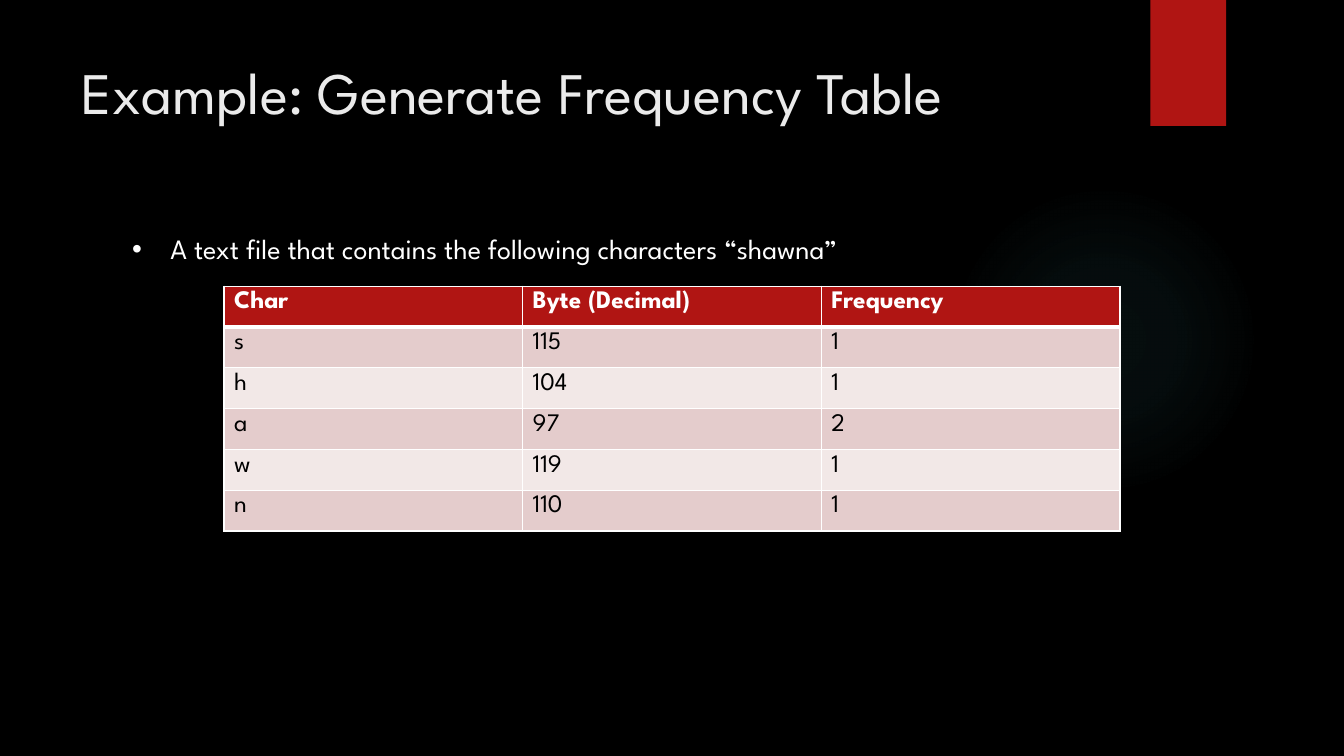
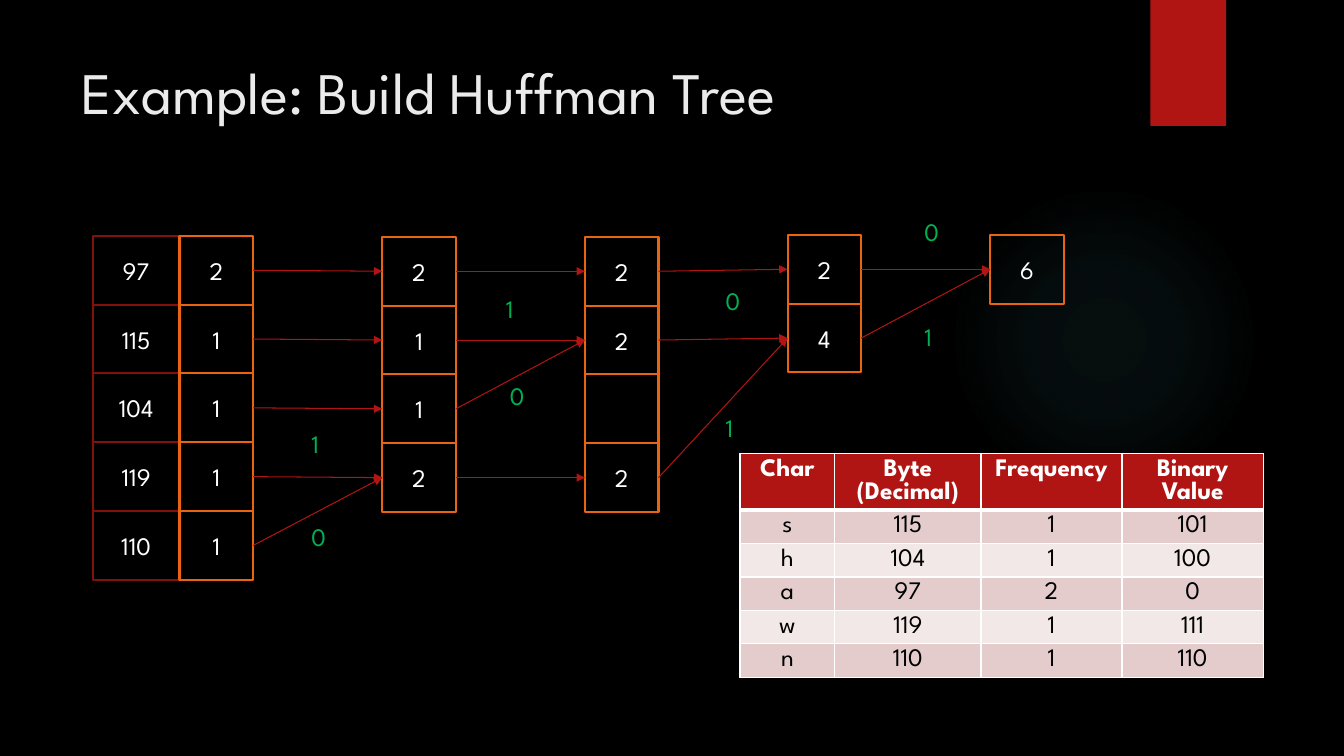
from dataclasses import dataclass

from pptx import Presentation
from pptx.dml.color import RGBColor
from pptx.enum.shapes import MSO_CONNECTOR, MSO_SHAPE
from pptx.enum.text import MSO_ANCHOR, PP_ALIGN
from pptx.oxml import parse_xml
from pptx.oxml.ns import nsdecls, qn
from pptx.util import Emu, Inches, Pt


@dataclass(frozen=True)
class Theme:
    font: str = "League Spartan"
    background: str = "000000"
    title: str = "EBEBEB"
    text: str = "FFFFFF"
    accent: str = "B01513"
    byte_outline: str = "82100E"
    node_outline: str = "EA6312"
    glow: str = "50B9C1"
    code: str = "00B050"
    table_text: str = "000000"
    table_bands: tuple = ("E4CCCC", "F2E8E7")
    title_size: int = 42
    body_size: int = 20
    small_size: int = 18


THEME = Theme()
LEFT_SITE, RIGHT_SITE = 1, 3


def set_values(target, values):
    for name, value in values.items():
        setattr(target, name, value)


def drawing(tag, attributes="", content=""):
    return parse_xml(f"<a:{tag} {nsdecls('a')} {attributes}>{content}</a:{tag}>")


class Deck:
    """Holds the style and the current slide; lengths are percentages of the slide."""

    def __init__(self, theme):
        self.theme = theme
        self.presentation = Presentation()
        set_values(self.presentation,
                   {"slide_width": Inches(13.33), "slide_height": Inches(7.5)})
        fill = self.presentation.slide_master.background.fill
        fill.solid()
        fill.fore_color.rgb = RGBColor.from_string(theme.background)
        self.slide = None

    def across(self, share):
        return Emu(round(self.presentation.slide_width * share / 100))

    def down(self, share):
        return Emu(round(self.presentation.slide_height * share / 100))

    def frame(self, left, top, width, height):
        return self.across(left), self.down(top), self.across(width), self.down(height)

    def move(self, shape, *shares):
        set_values(shape, dict(zip(("left", "top", "width", "height"), self.frame(*shares))))

    def set_text(self, text_frame, text, size, color, align=PP_ALIGN.LEFT,
                 anchor=MSO_ANCHOR.TOP, bold=False):
        set_values(text_frame, {"word_wrap": True, "vertical_anchor": anchor})
        paragraph = text_frame.paragraphs[0]
        paragraph.alignment = align
        run = paragraph.add_run()
        run.text = text
        set_values(run.font, {"name": self.theme.font, "size": Pt(size), "bold": bold})
        run.font.color.rgb = RGBColor.from_string(color)
        return paragraph

    # Slide with its shared decoration and title
    def add_slide(self, layout_name, title):
        layout = self.presentation.slide_layouts.get_by_name(layout_name)
        self.slide = self.presentation.slides.add_slide(layout)
        glow = self.add_shape(MSO_SHAPE.OVAL, (70.59, 24.4, 23.1, 41.07))
        stops = "".join(
            f'<a:gs pos="{place * 1000}"><a:srgbClr val="{self.theme.glow}">'
            f'<a:alpha val="{opacity * 1000}"/></a:srgbClr></a:gs>'
            for place, opacity in ((0, 7), (36, 6), (69, 0)))
        center = '<a:fillToRect l="50000" t="50000" r="50000" b="50000"/>'
        properties = glow.element.spPr
        properties.replace(properties.find(qn("a:noFill")), drawing(
            "gradFill", "",
            f'<a:gsLst>{stops}</a:gsLst><a:path path="circle">{center}</a:path>'))
        ribbon = self.add_shape(MSO_SHAPE.RECTANGLE, (85.6, 0, 5.63, 16.67),
                                fill=self.theme.accent)
        tree = self.slide.shapes.element
        for position, shape in enumerate((glow, ribbon), start=2):
            tree.insert(position, shape.element)
        heading = self.slide.shapes.title
        self.move(heading, 5.33, 6.67, 77.2, 20.4)
        self.set_text(heading.text_frame, title, self.theme.title_size, self.theme.title)

    def add_shape(self, preset, shares, fill=None, outline=None, text=""):
        shape = self.slide.shapes.add_shape(preset, *self.frame(*shares))
        shape.shadow.inherit = False
        for part, color in ((shape.fill, fill), (shape.line.fill, outline)):
            if color:
                part.solid()
                part.fore_color.rgb = RGBColor.from_string(color)
            else:
                part.background()
        if outline:
            shape.line.width = Pt(1.5)
        if text:
            self.set_text(shape.text_frame, text, self.theme.small_size, self.theme.text,
                          PP_ALIGN.CENTER, MSO_ANCHOR.MIDDLE)
        return shape

    def add_bullet(self, text, shares):
        body = self.slide.placeholders[1]
        self.move(body, *shares)
        paragraph = self.set_text(body.text_frame, text, self.theme.body_size,
                                  self.theme.text)
        paragraph.space_before = Pt(10)
        properties = paragraph._p.get_or_add_pPr()
        indent = Inches(0.38)
        properties.set("marL", str(indent))
        properties.set("indent", str(-indent))
        properties.append(drawing("buFont", 'typeface="Arial"'))
        properties.append(drawing("buChar", 'char="•"'))

    def add_label(self, text, left, top):
        label = self.slide.shapes.add_textbox(*self.frame(left, top, 3.6, 7.47))
        self.set_text(label.text_frame, text, self.theme.small_size, self.theme.code)

    def add_arrow(self, start, end):
        arrow = self.slide.shapes.add_connector(MSO_CONNECTOR.STRAIGHT, 0, 0, 0, 0)
        arrow.begin_connect(start, RIGHT_SITE)
        arrow.end_connect(end, LEFT_SITE)
        arrow.line.width = Pt(0.75)
        arrow.line.color.rgb = RGBColor.from_string(self.theme.accent)
        properties = arrow.element.spPr
        properties.find(qn("a:ln")).append(drawing("tailEnd", 'type="triangle"'))
        properties.append(drawing("effectLst"))

    def add_table(self, records, left, top, widths, header_height, row_height, align):
        heights = [header_height] + [row_height] * (len(records) - 1)
        table = self.slide.shapes.add_table(
            len(records), len(widths),
            *self.frame(left, top, sum(widths), sum(heights))).table
        for column, width in zip(table.columns, widths):
            column.width = self.across(width)
        for index, (row, height, record) in enumerate(zip(table.rows, heights, records)):
            row.height = self.down(height)
            header = index == 0
            fill = self.theme.accent if header else self.theme.table_bands[(index - 1) % 2]
            color = self.theme.text if header else self.theme.table_text
            for cell, text in zip(row.cells, record):
                cell.fill.solid()
                cell.fill.fore_color.rgb = RGBColor.from_string(fill)
                self.set_text(cell.text_frame, text, self.theme.small_size, color, align,
                              bold=header)
                self.add_borders(cell, top=3 if index == 1 else 1, bottom=3 if header else 1)

    def add_borders(self, cell, top, bottom):
        properties = cell._tc.get_or_add_tcPr()
        paint = f'<a:solidFill><a:srgbClr val="{self.theme.text}"/></a:solidFill>'
        sides = {"lnL": 1, "lnR": 1, "lnT": top, "lnB": bottom}
        for position, (side, width) in enumerate(sides.items()):
            properties.insert(position, drawing(side, f'w="{Pt(width)}"', paint))


# Data shared by both slides
HEADER = ("Char", "Byte (Decimal)", "Frequency")
FREQUENCIES = [("s", "115", "1"), ("h", "104", "1"), ("a", "97", "2"),
               ("w", "119", "1"), ("n", "110", "1")]
BINARY_VALUES = ("101", "100", "0", "111", "110")

deck = Deck(THEME)

# Frequency table
deck.add_slide("Title and Content", "Example: Generate Frequency Table")
deck.add_bullet("A text file that contains the following characters “shawna”",
                (9.08, 30, 73.37, 61.2))
deck.add_table([HEADER, *FREQUENCIES], 16.67, 37.87, [22.22] * 3, 5.4, 5.4, PP_ALIGN.LEFT)

# Huffman tree: result table
deck.add_slide("Title Only", "Example: Build Huffman Tree")
coded = [(*record, value) for record, value in zip(FREQUENCIES, BINARY_VALUES)]
deck.add_table([(*HEADER, "Binary Value"), *coded], 55.06, 60,
               [7.05, 10.88, 10.5, 10.5], 7.47, 4.42, PP_ALIGN.CENTER)

# Huffman tree: bytes and merge stages
TREE_LEFT, STAGE_PITCH, NODE_WIDTH, ROW_PITCH = 13.36, 15.08, 5.48, 9.1
BYTE_LEFT = 6.9
STAGES = [(31.2, ("2", "1", "1", "1", "1")), (31.33, ("2", "1", "1", "2")),
          (31.33, ("2", "2", "", "2")), (31.07, ("2", "4")), (31.07, ("6",))]
for row, byte in enumerate(("97", "115", "104", "119", "110")):
    deck.add_shape(MSO_SHAPE.RECTANGLE,
                   (BYTE_LEFT, STAGES[0][0] + row * ROW_PITCH,
                    TREE_LEFT - BYTE_LEFT, ROW_PITCH),
                   outline=THEME.byte_outline, text=byte)
nodes = [[deck.add_shape(MSO_SHAPE.RECTANGLE,
                         (TREE_LEFT + stage * STAGE_PITCH, top + row * ROW_PITCH,
                          NODE_WIDTH, ROW_PITCH),
                         outline=THEME.node_outline, text=weight)
          for row, weight in enumerate(weights)]
         for stage, (top, weights) in enumerate(STAGES)]

# Huffman tree: arrows as (row, next row) for each stage
LINKS = [((0, 0), (1, 1), (2, 2), (3, 3), (4, 3)),
         ((0, 0), (1, 1), (2, 1), (3, 3)),
         ((0, 0), (1, 1), (3, 1)),
         ((0, 0), (1, 0))]
for stage, links in enumerate(LINKS):
    for start, end in links:
        deck.add_arrow(nodes[stage][start], nodes[stage + 1][end])

# Huffman tree: code digits
for digit, left, top in (("0", 22.43, 68.27), ("1", 22.43, 56),
                         ("0", 37.2, 49.6), ("1", 36.9, 38.13),
                         ("0", 53.26, 37.07), ("1", 53.26, 53.87),
                         ("0", 68.04, 28), ("1", 68.04, 41.87)):
    deck.add_label(digit, left, top)

deck.presentation.save("out.pptx")
